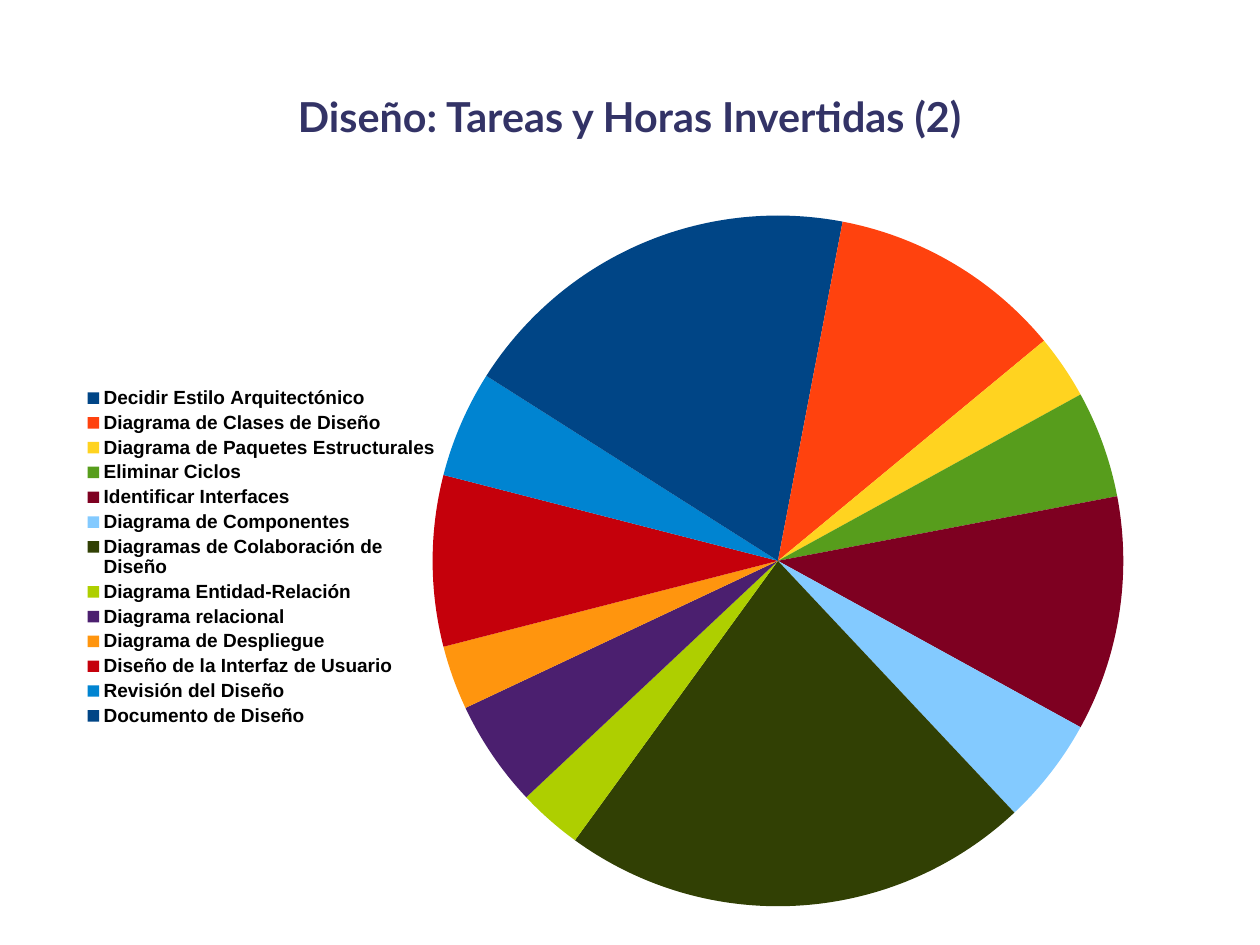
from typing import NamedTuple

from lxml import etree
from pptx import Presentation
from pptx.chart.data import CategoryChartData
from pptx.dml.color import RGBColor
from pptx.enum.chart import XL_CHART_TYPE, XL_LEGEND_POSITION
from pptx.enum.text import MSO_ANCHOR, MSO_AUTO_SIZE, PP_ALIGN
from pptx.oxml.ns import qn
from pptx.util import Emu, Pt

PIE = XL_CHART_TYPE.PIE
LEFT = XL_LEGEND_POSITION.LEFT
CENTER = PP_ALIGN.CENTER
MIDDLE = MSO_ANCHOR.MIDDLE
GROW = MSO_AUTO_SIZE.SHAPE_TO_FIT_TEXT
EMU_PER_PX = 8000
TITLE_ONLY = 5


class Task(NamedTuple):
    name: str
    hours: int
    color: str


TASKS = [
    Task("Decidir Estilo Arquitectónico", 3, "004586"),
    Task("Diagrama de Clases de Diseño", 11, "FF420E"),
    Task("Diagrama de Paquetes Estructurales", 3, "FFD320"),
    Task("Eliminar Ciclos", 5, "579D1C"),
    Task("Identificar Interfaces", 11, "7E0021"),
    Task("Diagrama de Componentes", 5, "83CAFF"),
    Task("Diagramas de Colaboración de Diseño", 22, "314004"),
    Task("Diagrama Entidad-Relación", 3, "AECF00"),
    Task("Diagrama relacional", 5, "4B1F6F"),
    Task("Diagrama de Despliegue", 3, "FF950E"),
    Task("Diseño de la Interfaz de Usuario", 8, "C5000B"),
    Task("Revisión del Diseño", 5, "0084D1"),
    Task("Documento de Diseño", 16, "004586"),
]
PLOT_AREA = {"x": 0.31, "y": 0.07, "w": 0.61, "h": 0.87}


def px(n: int) -> Emu:
    return Emu(n * EMU_PER_PX)


def rgb(color: str) -> RGBColor:
    return RGBColor.from_string(color)


def set_font(font, *, size: int, name: str, color: str = "000000", bold: bool = False) -> None:
    font.size, font.name, font.bold = Pt(size), name, bold
    font.color.rgb = rgb(color)


def write(tf, text: str, *, align=CENTER, anchor=MIDDLE, **font) -> None:
    tf.word_wrap = True
    tf.auto_size = GROW
    tf.vertical_anchor = anchor
    tf.margin_left = tf.margin_right = tf.margin_top = tf.margin_bottom = 0
    p = tf.paragraphs[0]
    p.alignment = align
    r = p.add_run()
    r.text = text
    set_font(r.font, **font)


def place_plot(chart, area: dict[str, float]) -> None:
    plot_area = chart.plots[0]._element.getparent()
    for old in plot_area.findall(qn("c:layout")):
        plot_area.remove(old)
    layout = etree.Element(qn("c:layout"))
    manual = etree.SubElement(layout, qn("c:manualLayout"))
    for axis in "xy":
        etree.SubElement(manual, qn(f"c:{axis}Mode")).set("val", "edge")
    for key, value in area.items():
        etree.SubElement(manual, qn(f"c:{key}")).set("val", str(value))
    plot_area.insert(0, layout)


def add_pie(slide, tasks: list[Task], x: int, y: int, w: int, h: int) -> None:
    data = CategoryChartData()
    data.categories = [t.name for t in tasks]
    data.add_series("Series 1", [t.hours for t in tasks])
    chart = slide.shapes.add_chart(PIE, px(x), px(y), px(w), px(h), data).chart
    chart.has_title = False
    set_font(chart.font, size=10, name="Arial")

    # Legend
    chart.has_legend = True
    chart.legend.position = LEFT
    chart.legend.include_in_layout = False
    set_font(chart.legend.font, size=12, name="Arial", bold=True)

    # Slices
    plot = chart.plots[0]
    plot.vary_by_categories = True
    for i, task in enumerate(tasks):
        fmt = plot.series[0].points[i].format
        fmt.fill.solid()
        fmt.fill.fore_color.rgb = rgb(task.color)
        fmt.line.fill.background()
    place_plot(chart, PLOT_AREA)


def main() -> None:
    prs = Presentation()
    prs.slide_width, prs.slide_height = px(1260), px(945)
    slide = prs.slides.add_slide(prs.slide_layouts[TITLE_ONLY])

    # Title
    title = slide.shapes.title
    title.left, title.top, title.width, title.height = px(63), px(43), px(1134), px(146)
    write(title.text_frame, "Diseño: Tareas y Horas Invertidas (2)",
          size=26, name="Lato", color="333366", bold=True)

    # Hours per task
    add_pie(slide, TASKS, 72, 160, 1148, 794)
    prs.save("out.pptx")


if __name__ == "__main__":
    main()
